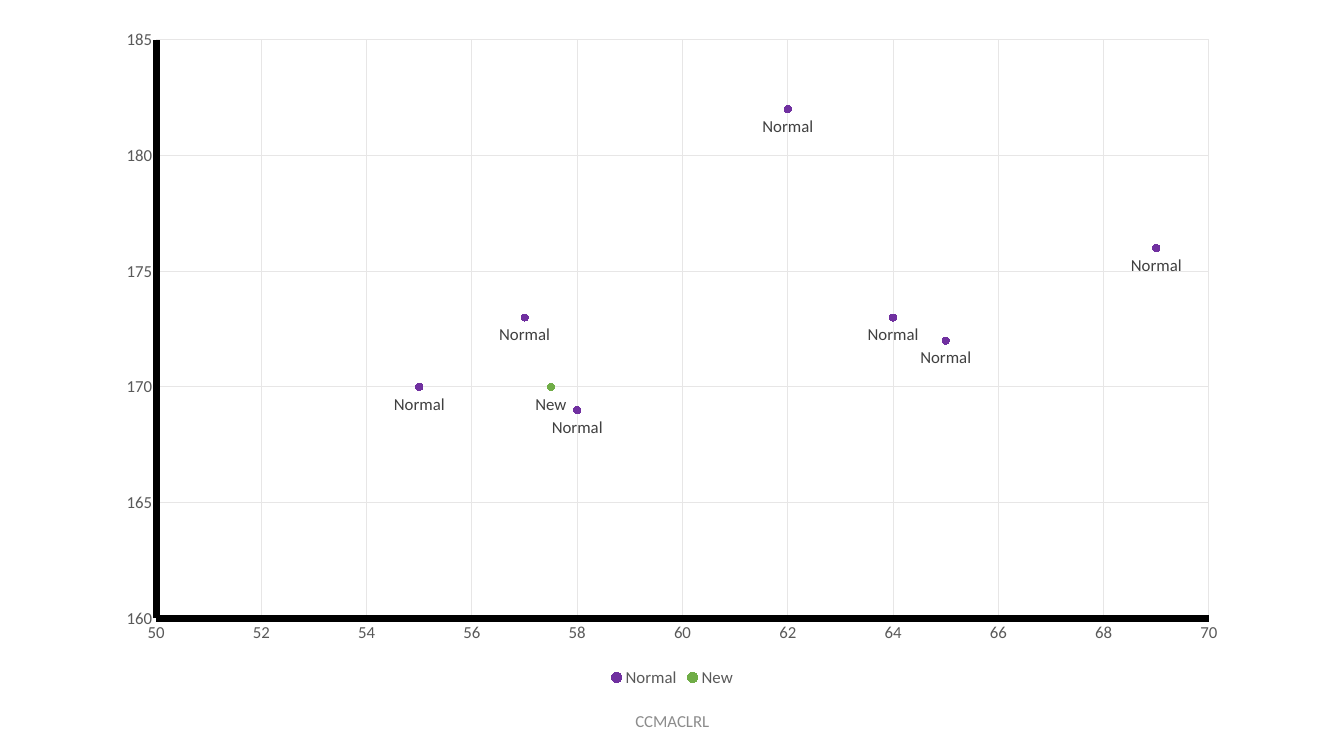
from dataclasses import dataclass

from lxml import etree
from pptx import Presentation
from pptx.chart.axis import ValueAxis
from pptx.chart.chart import Chart
from pptx.chart.data import XyChartData
from pptx.chart.datalabel import DataLabels
from pptx.chart.series import XySeries
from pptx.dml.color import RGBColor
from pptx.enum.chart import (
    XL_CHART_TYPE, XL_LABEL_POSITION, XL_LEGEND_POSITION, XL_MARKER_STYLE,
    XL_TICK_LABEL_POSITION, XL_TICK_MARK,
)
from pptx.enum.text import MSO_ANCHOR, PP_ALIGN
from pptx.oxml.ns import qn
from pptx.slide import Slide
from pptx.util import Pt

SCATTER = XL_CHART_TYPE.XY_SCATTER
BELOW = XL_LABEL_POSITION.BELOW
LEGEND_BOTTOM = XL_LEGEND_POSITION.BOTTOM
CIRCLE = XL_MARKER_STYLE.CIRCLE
NEXT_TO_AXIS = XL_TICK_LABEL_POSITION.NEXT_TO_AXIS
NO_TICK = XL_TICK_MARK.NONE
MIDDLE = MSO_ANCHOR.MIDDLE
CENTER = PP_ALIGN.CENTER


@dataclass(frozen=True)
class Theme:
    font: str = "Calibri"
    size: float = 12
    axis_text: str = "595959"
    label_text: str = "404040"
    footer_text: str = "8C8C8C"
    axis_line: str = "000000"
    axis_width: float = 5
    grid: str = "E7E6E6"
    grid_width: float = 0.75
    marker_size: int = 5


@dataclass(frozen=True)
class Box:
    left: float
    top: float
    width: float
    height: float

    def lengths(self) -> tuple:
        return Pt(self.left), Pt(self.top), Pt(self.width), Pt(self.height)


@dataclass(frozen=True)
class WeightGroup:
    name: str
    color: str
    points: tuple = ()


@dataclass(frozen=True)
class AxisRange:
    minimum: float
    maximum: float
    step: float


THEME = Theme()
CHART_BOX = Box(74.16, 11.52, 812.16, 482.4)
FOOTER_BOX = Box(318.24, 500.4, 324, 28.8)
PLOT_LAYOUT = {"x": 0.046, "y": 0.035, "w": 0.926, "h": 0.857}
WEIGHT_AXIS = AxisRange(50, 70, 2)
HEIGHT_AXIS = AxisRange(160, 185, 5)
GROUPS = (
    WeightGroup("Underweight", "5B9BD5"),
    WeightGroup("Normal", "7030A0", (
        (62, 182), (69, 176), (64, 173), (65, 172), (58, 169), (57, 173), (55, 170),
    )),
    WeightGroup("New", "70AD47", ((57.5, 170),)),
)


def apply_format(target: object, values: dict) -> None:
    for name, value in values.items():
        setattr(target, name, value)


def style_font(font: object, color: str) -> None:
    apply_format(font, {"name": THEME.font, "size": Pt(THEME.size), "bold": False})
    font.color.rgb = RGBColor.from_string(color)


def style_line(line: object, color: str, width: float) -> None:
    line.color.rgb = RGBColor.from_string(color)
    line.width = Pt(width)


def style_axis(axis: ValueAxis, limits: AxisRange) -> None:
    apply_format(axis, {
        "minimum_scale": limits.minimum,
        "maximum_scale": limits.maximum,
        "major_unit": limits.step,
        "major_tick_mark": NO_TICK,
        "minor_tick_mark": NO_TICK,
        "tick_label_position": NEXT_TO_AXIS,
        "has_major_gridlines": True,
        "has_title": False,
    })
    apply_format(axis.tick_labels, {"number_format": "General", "number_format_is_linked": False})
    style_font(axis.tick_labels.font, THEME.axis_text)
    style_line(axis.format.line, THEME.axis_line, THEME.axis_width)
    style_line(axis.major_gridlines.format.line, THEME.grid, THEME.grid_width)


def style_group(series: XySeries, group: WeightGroup) -> None:
    series.format.line.fill.background()
    apply_format(series.marker, {"style": CIRCLE, "size": THEME.marker_size})
    marker_format = series.marker.format
    marker_format.fill.solid()
    marker_format.fill.fore_color.rgb = RGBColor.from_string(group.color)
    marker_format.line.fill.background()
    labels = DataLabels(series._element.get_or_add_dLbls())
    apply_format(labels, {"show_value": False, "show_series_name": True, "position": BELOW})
    style_font(labels.font, THEME.label_text)


def place_plot(chart: Chart) -> None:
    plot_area = chart._chartSpace.chart.plotArea
    for old_layout in plot_area.findall(qn("c:layout")):
        plot_area.remove(old_layout)
    layout = etree.Element(qn("c:layout"))
    plot_area.insert(0, layout)
    manual = etree.SubElement(layout, qn("c:manualLayout"))
    settings = {"layoutTarget": "inner", "xMode": "edge", "yMode": "edge", **PLOT_LAYOUT}
    for tag, value in settings.items():
        etree.SubElement(manual, qn(f"c:{tag}")).set("val", str(value))


def add_weight_chart(slide: Slide) -> None:
    data = XyChartData()
    for group in GROUPS:
        series_data = data.add_series(group.name)
        for weight, height in group.points:
            series_data.add_data_point(weight, height)
    chart = slide.shapes.add_chart(SCATTER, *CHART_BOX.lengths(), data).chart
    apply_format(chart, {"has_title": False, "has_legend": True})
    style_font(chart.font, THEME.axis_text)
    apply_format(chart.legend, {"position": LEGEND_BOTTOM, "include_in_layout": False})
    style_font(chart.legend.font, THEME.axis_text)
    style_axis(chart.category_axis, WEIGHT_AXIS)
    style_axis(chart.value_axis, HEIGHT_AXIS)
    plot = chart.plots[0]
    plot.vary_by_categories = False
    for series, group in zip(plot.series, GROUPS):
        style_group(series, group)
    place_plot(chart)


def add_footer(slide: Slide) -> None:
    frame = slide.shapes.add_textbox(*FOOTER_BOX.lengths()).text_frame
    apply_format(frame, {"word_wrap": True, "vertical_anchor": MIDDLE})
    paragraph = frame.paragraphs[0]
    apply_format(paragraph, {"text": "CCMACLRL", "alignment": CENTER})
    style_font(paragraph.runs[0].font, THEME.footer_text)


def main() -> None:
    presentation = Presentation()
    apply_format(presentation, {"slide_width": Pt(960), "slide_height": Pt(540)})
    slide = presentation.slides.add_slide(presentation.slide_layouts[6])
    add_weight_chart(slide)
    add_footer(slide)
    presentation.save("out.pptx")


if __name__ == "__main__":
    main()
